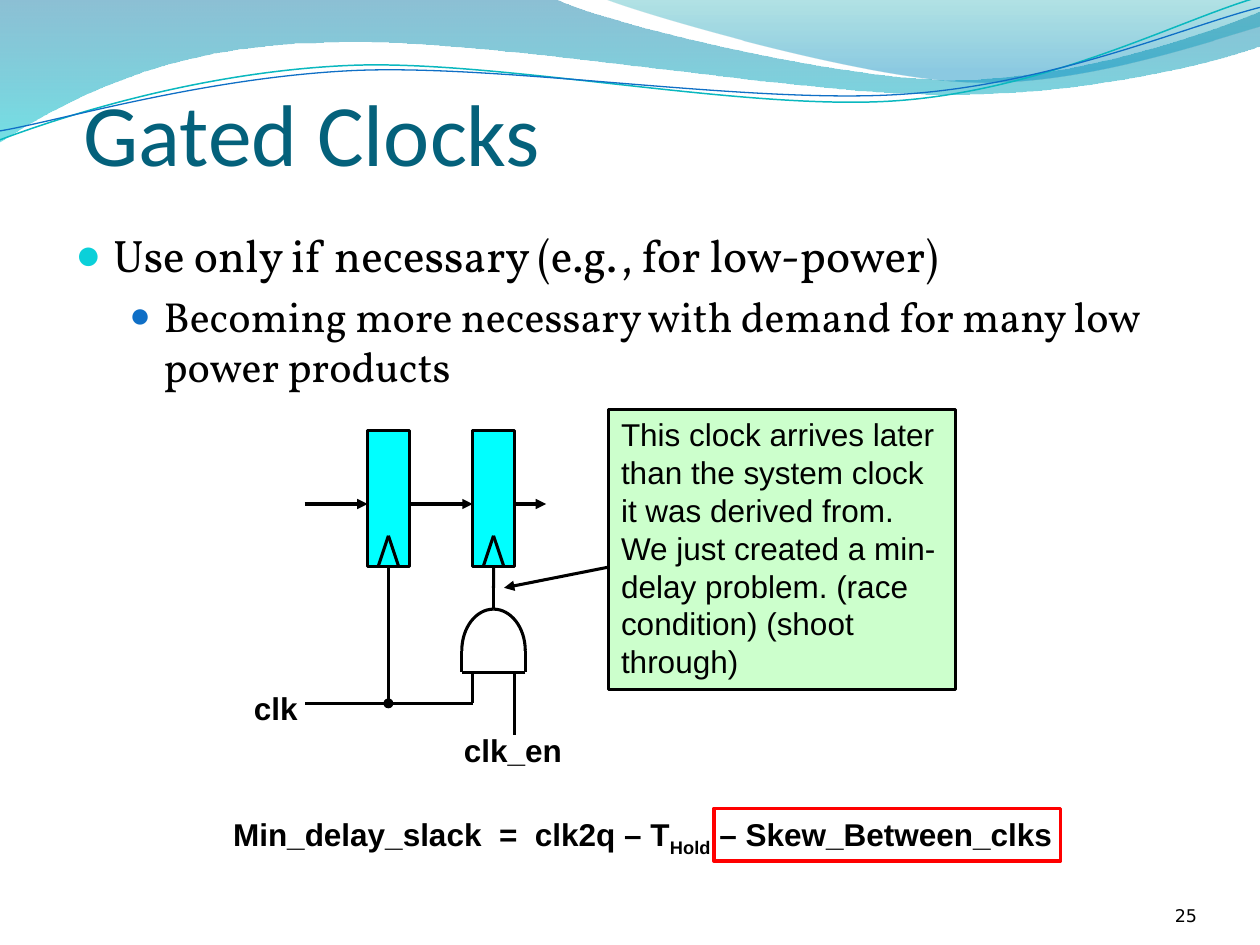
from lxml.etree import SubElement
from pptx import Presentation
from pptx.dml.color import RGBColor
from pptx.enum.shapes import MSO_CONNECTOR, MSO_SHAPE
from pptx.enum.text import MSO_ANCHOR, PP_ALIGN
from pptx.oxml.ns import qn
from pptx.util import Cm, Pt

BLACK = RGBColor(0x00, 0x00, 0x00)
TEAL = RGBColor(0x04, 0x61, 0x7B)
CYAN = RGBColor(0x00, 0xFF, 0xFF)
MINT = RGBColor(0xCC, 0xFF, 0xCC)
RED = RGBColor(0xFF, 0x00, 0x00)
AQUA = RGBColor(0x0B, 0xD0, 0xD9)
BLUE = RGBColor(0x0F, 0x6F, 0xC6)
SEA = RGBColor(0x0A, 0xB8, 0xBF)
DEEP = RGBColor(0x00, 0x74, 0xA1)
POOL = RGBColor(0x00, 0xC6, 0xCF)
FERN = RGBColor(0x00, 0xA1, 0xA9)
SKY = RGBColor(0x00, 0x8B, 0xBF)


class Sketch:
    font = "Arial"
    size = 18
    width = 1.75

    def __init__(self, slide):
        self.shapes = slide.shapes

    def style(self, runs, size=None, font=None, color=BLACK, bold=False):
        for run in runs:
            run.font.size = Pt(size or self.size)
            run.font.name = font or self.font
            run.font.color.rgb = color
            run.font.bold = bold

    def title(self, text, x, y, w, h):
        box = self.shapes.title
        box.left, box.top, box.width, box.height = Cm(x), Cm(y), Cm(w), Cm(h)
        frame = box.text_frame
        frame.text = text
        frame.vertical_anchor = MSO_ANCHOR.BOTTOM
        frame.margin_left = frame.margin_right = frame.margin_bottom = 0
        frame.paragraphs[0].alignment = PP_ALIGN.LEFT
        self.style(frame.paragraphs[0].runs, 50, "Calibri", TEAL)
        box.element.getparent().append(box.element)

    def text(self, text, x, y, w, h, wrap=False, **look):
        box = self.shapes.add_textbox(Cm(x), Cm(y), Cm(w), Cm(h))
        frame = box.text_frame
        frame.word_wrap = wrap
        frame.text = text
        for para in frame.paragraphs:
            self.style(para.runs, **look)
        return frame

    def bullet(self, para, size, left, hang, color, scale):
        para.space_before = Pt(5)
        self.style(para.runs, size, "Vollkorn")
        props = para._p.get_or_add_pPr()
        props.set("marL", str(Cm(left)))
        props.set("indent", str(-Cm(hang)))
        tint = SubElement(props, qn("a:buClr"))
        SubElement(tint, qn("a:srgbClr")).set("val", str(color))
        SubElement(props, qn("a:buSzPct")).set("val", str(scale * 1000))
        SubElement(props, qn("a:buFont")).set("typeface", self.font)
        SubElement(props, qn("a:buChar")).set("char", "●")

    def paint(self, shape, fill=None, line=BLACK, width=None):
        shape.shadow.inherit = False
        if fill is None:
            shape.fill.background()
        else:
            shape.fill.solid()
            shape.fill.fore_color.rgb = fill
        if line is None:
            shape.line.fill.background()
        else:
            shape.line.color.rgb = line
            shape.line.width = Pt(width or self.width)
        return shape

    def shape(self, kind, x, y, w, h, **look):
        shape = self.shapes.add_shape(kind, Cm(x), Cm(y), Cm(w), Cm(h))
        return self.paint(shape, **look)

    def curve(self, start, parts, close=False, **look):
        spots = [(Cm(x), Cm(y)) for part in parts for x, y in zip(part[::2], part[1::2])]
        build = self.shapes.build_freeform(Cm(start[0]), Cm(start[1]), scale=1.0)
        build.add_line_segments(spots, close=close)
        shape = build.convert_to_shape()
        steps = iter(list(shape._element.iter(qn("a:lnTo"))))
        for part in parts:
            group = [next(steps) for _ in part[::2]]
            if len(group) == 3:
                owner = group[0].getparent()
                bend = SubElement(owner, qn("a:cubicBezTo"))
                group[0].addprevious(bend)
                for step in group:
                    bend.append(step[0])
                    owner.remove(step)
        return self.paint(shape, **look)

    def wave(self, start, parts, stops):
        fill = self.curve(start, parts, close=True, line=None).fill
        fill.gradient()
        fill.gradient_angle = 270
        for stop, (place, color, alpha) in zip(fill.gradient_stops, stops):
            stop.position = place
            stop.color.rgb = color
        for tint, (_, _, alpha) in zip(fill._xPr.iter(qn("a:srgbClr")), stops):
            SubElement(tint, qn("a:alpha")).set("val", str(alpha * 1000))

    def line(self, x1, y1, x2, y2, arrow=False, source=None):
        wire = self.shapes.add_connector(
            MSO_CONNECTOR.STRAIGHT, Cm(x1), Cm(y1), Cm(x2), Cm(y2))
        if source is not None:
            wire.begin_connect(source, 2)
        wire.line.color.rgb = BLACK
        wire.line.width = Pt(self.width)
        if arrow:
            SubElement(wire.line._get_or_add_ln(), qn("a:tailEnd")).set("type", "triangle")
        SubElement(wire._element.spPr, qn("a:effectLst"))

    def flop(self, x):
        box = self.shape(MSO_SHAPE.RECTANGLE, x, 8.68, 0.84, 2.75, fill=CYAN)
        mid = x + 0.42
        for side in (-0.21, 0.21):
            self.line(mid, 10.8, mid + side, 11.43)
        return box

    def gate(self, mid):
        for side in (-1, 1):
            edge = mid + side * 0.64
            self.curve((edge, 13.12), [
                (edge, 12.65, mid + side * 0.35, 12.28, mid, 12.28)])
            self.line(edge, 13.12, edge, 13.55)
            self.line(mid + side * 0.42, 13.55, mid + side * 0.42, 14.18)
        self.line(mid + 0.64, 13.55, mid - 0.64, 13.55)
        self.line(mid, 12.28, mid, 11.64)


def main():
    deck = Presentation()
    deck.slide_width, deck.slide_height = Cm(25.4), Cm(19.05)
    art = Sketch(deck.slides.add_slide(deck.slide_layouts[5]))

    art.wave((0, -0.03), [
        (11.18, -0.03), (12.09, 0.43, 16.87, 1.6, 19.25, 1.6),
        (21.67, 1.6, 24.33, 0.66, 25.4, 0.23), (25.43, 0.91),
        (24.97, 1.12, 22.1, 1.93, 18.95, 1.9),
        (15.8, 1.9, 9.7, 0.71, 6.53, 0.86),
        (3.28, 0.89, 1.17, 2.11, -0.03, 2.87)],
        [(0, DEEP, 45), (1, POOL, 55)])
    art.wave((12.17, -0.03), [
        (12.93, 0.28, 17.32, 1.57, 19.53, 1.65),
        (21.74, 1.75, 24.41, 0.81, 25.4, 0.53), (25.4, 0)],
        [(0, FERN, 30), (0.8, SKY, 45)])
    art.curve((0, 2.82), [
        (1.22, 2.36, 4.01, 1.45, 7.04, 1.32),
        (10.03, 1.19, 15.06, 2.26, 18.11, 2.03),
        (21.16, 1.8, 23.83, 0.38, 25.35, -0.05)], line=SEA, width=0.85)
    art.curve((0, 2.64), [
        (1.19, 2.44, 4.17, 1.55, 7.19, 1.42),
        (10.24, 1.3, 15.16, 2.11, 18.21, 1.9),
        (21.23, 1.7, 23.9, 0.53, 25.4, 0.15)], line=BLUE, width=0.75)

    art.title("Gated Clocks", 1.68, 0.53, 12.27, 3.18)
    body = art.text(
        "Use only if necessary (e.g., for low-power)\n"
        "Becoming more necessary with demand for many low power products",
        1.27, 4.45, 22.86, 4.24, wrap=True)
    body.paragraphs[1].level = 1
    art.bullet(body.paragraphs[0], 26, 0.76, 0.76, AQUA, 95)
    art.bullet(body.paragraphs[1], 24, 1.78, 0.69, BLUE, 85)

    page = art.text("25", 22.02, 17.65, 2.11, 1.02, wrap=True, size=10, font="DejaVu Sans")
    page.margin_left = page.margin_right = page.margin_top = page.margin_bottom = 0
    page.vertical_anchor = MSO_ANCHOR.BOTTOM
    page.paragraphs[0].alignment = PP_ALIGN.RIGHT

    first, second = art.flop(7.41), art.flop(9.53)
    for start, end in ((6.14, 7.41), (8.26, 9.53), (10.37, 11.01)):
        art.line(start, 10.16, end, 10.16, arrow=True)

    art.gate(9.95)
    art.line(9.95, 11.43, 9.95, 11.85, source=second)
    art.line(7.83, 11.43, 7.83, 14.18, source=first)
    art.line(9.53, 14.18, 6.14, 14.18)
    art.line(10.37, 14.18, 10.37, 14.82)
    art.text("clk", 4.87, 13.76, 1.4, 1.02, bold=True)
    art.text("clk_en", 9.1, 14.61, 2.49, 1.02, bold=True)

    note = art.shape(MSO_SHAPE.RECTANGLE, 12.27, 8.25, 6.99, 5.66, fill=MINT)
    frame = note.text_frame
    frame.word_wrap = True
    frame.vertical_anchor = MSO_ANCHOR.TOP
    frame.text = (
        "This clock arrives later than the system clock it was derived from.  "
        "We just created a min-delay problem. (race condition) (shoot through)")
    frame.paragraphs[0].alignment = PP_ALIGN.LEFT
    art.style(frame.paragraphs[0].runs)
    art.line(12.28, 11.43, 10.16, 11.85, arrow=True)
    art.shape(MSO_SHAPE.OVAL, 7.73, 14.08, 0.2, 0.2, fill=BLACK, line=None)

    slack = art.text("Min_delay_slack  =  clk2q – T", 4.45, 16.3, 17.15, 1.02, bold=True)
    para = slack.paragraphs[0]
    for part in ("Hold", " – Skew_Between_clks"):
        para.add_run().text = part
    art.style(para.runs, bold=True)
    para.runs[1].font._element.set("baseline", "-25000")
    art.shape(MSO_SHAPE.RECTANGLE, 14.39, 16.3, 6.99, 1.06, line=RED, width=2)

    deck.save("out.pptx")


if __name__ == "__main__":
    main()
